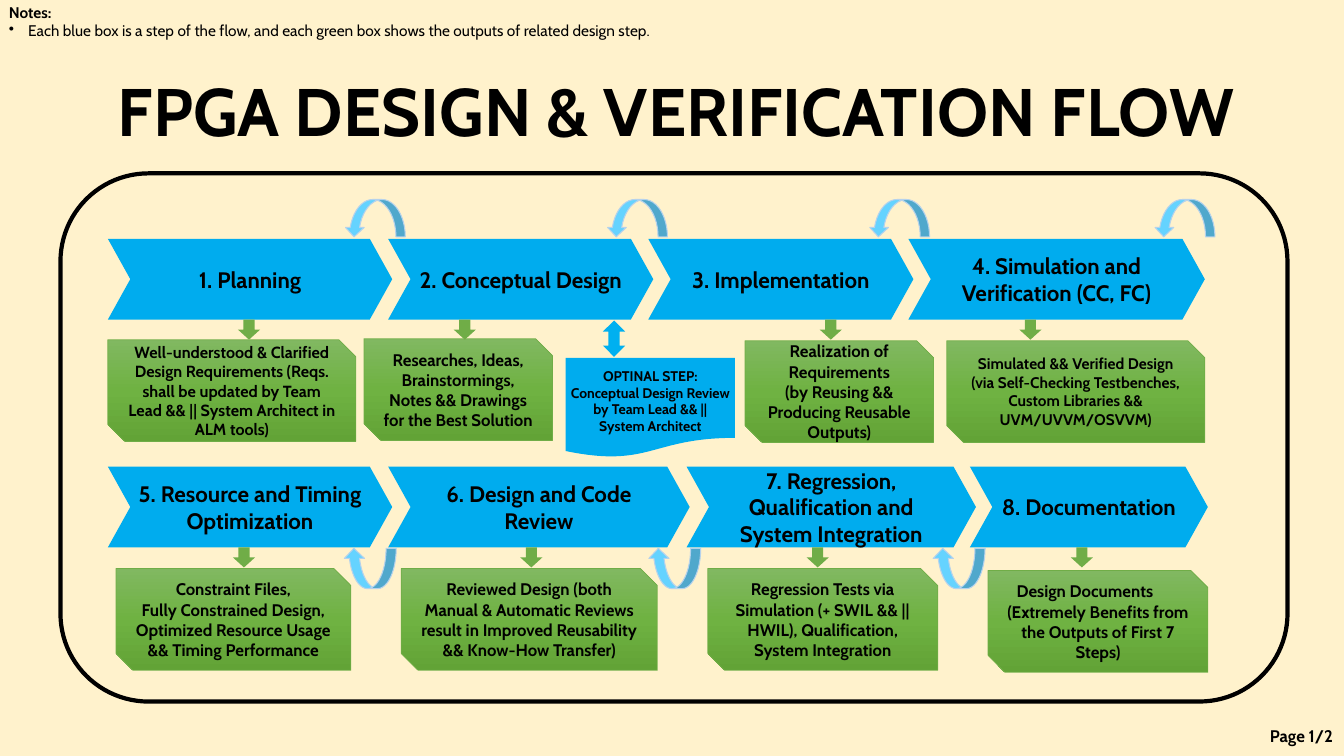
from copy import deepcopy
from dataclasses import dataclass

from pptx import Presentation
from pptx.dml.color import RGBColor
from pptx.enum.shapes import MSO_SHAPE as SHAPE
from pptx.enum.text import MSO_ANCHOR as ANCHOR, PP_ALIGN as ALIGN
from pptx.oxml.ns import qn
from pptx.oxml.xmlchemy import OxmlElement
from pptx.util import Inches, Pt

FONT = "Cabin"
BLACK = RGBColor(0x00, 0x00, 0x00)
CREAM = RGBColor(0xFF, 0xF2, 0xCC)
STEP_BLUE = RGBColor(0x00, 0xAC, 0xEE)
REVIEW_BLUE = RGBColor(0x00, 0xB0, 0xF0)
LOOP_BLUE = RGBColor(0x65, 0xD3, 0xFF)
LOOP_EDGE = RGBColor(0xB5, 0xD2, 0xEC)
GREEN = RGBColor(0x70, 0xAD, 0x47)
OUTPUT_STOPS = [(0, RGBColor(0x81, 0xB8, 0x61)), (0.5, RGBColor(0x6F, 0xB2, 0x42)),
                (1, RGBColor(0x62, 0xA3, 0x36))]

STEP_HEIGHT = 0.8
OUTPUT_HEIGHT = 1.01


@dataclass
class Step:
    """A design step; lefts are measured from the left of its row."""
    label: list
    left: float
    width: float
    arrow_left: float
    output_left: float
    output_width: float
    output_drop: float
    output: list
    size: float = 12


FIRST_ROW = [
    Step(["1. Planning"], 0, 2.82, 1.29, 0, 2.46, 1.0,
         ["Well-understood & Clarified Design Requirements (Reqs. shall be updated "
          "by Team Lead && || System Architect in ALM tools)"], 11.5),
    Step(["2. Conceptual Design"], 2.78, 2.63, 3.43, 2.54, 1.87, 0.99,
         ["Researches, Ideas, Brainstormings, Notes && Drawings for the Best Solution"]),
    Step(["3. Implementation"], 5.36, 2.63, 7.06, 6.32, 1.87, 1.01,
         ["Realization of Requirements", "(by Reusing && Producing Reusable Outputs)"]),
    Step(["4. Simulation and Verification (CC, FC)"], 7.94, 2.94, 9.04, 8.32, 2.56, 1.01,
         ["Simulated && Verified Design",
          "(via Self-Checking Testbenches, Custom Libraries && UVM/UVVM/OSVVM)"], 11),
]
SECOND_ROW = [
    Step(["5. Resource and Timing Optimization"], 0, 2.82, 1.24, 0.08, 2.33, 1.01,
         ["Constraint Files,",
          "Fully Constrained Design, Optimized Resource Usage && Timing Performance"]),
    Step(["6. Design and Code Review"], 2.78, 2.99, 4.09, 2.91, 2.54, 1.01,
         ["Reviewed Design (both Manual & Automatic Reviews result in Improved "
          "Reusability && Know-How Transfer)"]),
    Step(["7. Regression, Qualification and", "System Integration"],
         5.74, 2.87, 6.93, 5.95, 2.28, 1.01,
         ["Regression Tests via Simulation (+ SWIL && || HWIL), Qualification, "
          "System Integration"]),
    Step(["8. Documentation"], 8.55, 2.36, 9.55, 8.73, 2.18, 1.03,
         ["Design Documents", "(Extremely Benefits from the Outputs of First 7 Steps)"]),
]


def write(shape, lines, size, align=ALIGN.CENTER, anchor=ANCHOR.MIDDLE, inset=None, bold=True):
    frame = shape.text_frame
    frame.word_wrap = True
    frame.vertical_anchor = anchor
    if inset is not None:
        frame.margin_left = frame.margin_right = Inches(inset)
        frame.margin_top = frame.margin_bottom = Inches(inset)
    for index, line in enumerate(lines):
        paragraph = frame.paragraphs[0] if index == 0 else frame.add_paragraph()
        paragraph.alignment = align
        run = paragraph.add_run()
        run.text = line
        run.font.name, run.font.size, run.font.bold = FONT, Pt(size), bold
        run.font.color.rgb = BLACK
    return frame


def add_text(slide, left, top, width, height, lines, size, **style):
    box = slide.shapes.add_textbox(Inches(left), Inches(top), Inches(width), Inches(height))
    return write(box, lines, size, **style)


def add_shape(slide, kind, left, top, width, height, fill=None, edge=None, edge_width=0.5):
    shape = slide.shapes.add_shape(kind, Inches(left), Inches(top), Inches(width), Inches(height))
    shape.shadow.inherit = False
    if fill is None:
        shape.fill.background()
    else:
        shape.fill.solid()
        shape.fill.fore_color.rgb = fill
    if edge is None:
        shape.line.fill.background()
    else:
        shape.line.color.rgb = edge
        shape.line.width = Pt(edge_width)
    return shape


def fill_output(shape):
    shape.fill.gradient()
    shape.fill.gradient_angle = 270
    stop_list = shape.fill._fill._gradFill.find(qn("a:gsLst"))
    stop_list.append(deepcopy(stop_list[0]))
    for stop, (position, color) in zip(shape.fill.gradient_stops, OUTPUT_STOPS):
        stop.position = position
        stop.color.rgb = color


def add_step(slide, row_left, top, step):
    # Blue step
    chevron = add_shape(slide, SHAPE.CHEVRON, row_left + step.left, top,
                        step.width, STEP_HEIGHT, STEP_BLUE)
    chevron.adjustments[0] = 0.278
    write(chevron, step.label, 16, inset=0.04)
    # Green output
    output = add_shape(slide, SHAPE.SNIP_2_DIAG_RECTANGLE, row_left + step.output_left,
                       top + step.output_drop, step.output_width, OUTPUT_HEIGHT, GREEN, GREEN)
    fill_output(output)
    # Arrow from step to output
    add_shape(slide, SHAPE.DOWN_ARROW, row_left + step.arrow_left, top + STEP_HEIGHT,
              0.22, 0.2, GREEN)
    return write(output, step.output, step.size)


def add_row(slide, left, top, steps):
    return [add_step(slide, left, top, step) for step in steps]


def add_loops(slide, lefts, top, width, height, above):
    for left in lefts:
        loop = add_shape(slide, SHAPE.CURVED_UP_ARROW, left, top, width, height,
                         LOOP_BLUE, LOOP_EDGE, 0.75)
        transform = loop._element.spPr.find(qn("a:xfrm"))
        transform.set("flipH", "1")
        if above:
            transform.set("flipV", "1")


def add_optional_review(slide, left, top):
    add_shape(slide, SHAPE.UP_DOWN_ARROW, left + 0.37, top, 0.22, 0.36, REVIEW_BLUE)
    review = add_shape(slide, SHAPE.FLOWCHART_DOCUMENT, left, top + 0.37, 1.68, 0.99, STEP_BLUE)
    frame = write(review, ["OPTINAL STEP:",
                           "Conceptual Design Review by Team Lead && || System Architect"],
                  10, inset=0.04)
    frame.margin_top = Inches(0.1)


def add_notes(slide, left, top):
    frame = add_text(slide, left, top, 11.63, 0.66, [
        "Notes:",
        "Each blue box is a step of the flow, and each green box shows the outputs "
        "of related design step."], 11, align=ALIGN.LEFT, anchor=ANCHOR.TOP)
    remark = frame.paragraphs[1]
    remark.runs[0].font.bold = False
    properties = remark._p.get_or_add_pPr()
    properties.set("marL", str(Inches(0.19)))
    properties.set("indent", str(Inches(-0.19)))
    bullet = OxmlElement("a:buChar")
    bullet.set("char", "•")
    properties.append(bullet)


def add_flow(slide, left, top):
    # Frame around the flow
    add_shape(slide, SHAPE.ROUNDED_RECTANGLE, left, top, 12.17, 5.24, edge=BLACK, edge_width=3)
    # Rows of steps
    add_row(slide, left + 0.47, top + 0.65, FIRST_ROW)
    documents = add_row(slide, left + 0.47, top + 2.91, SECOND_ROW)[-1].paragraphs[0]
    documents.alignment = ALIGN.LEFT
    documents._p.get_or_add_pPr().set("marL", str(Inches(0.1)))
    # Loops back to the previous step
    add_loops(slide, [left + x for x in (2.82, 5.42, 8.02, 10.85)], top + 0.26, 0.6, 0.37, True)
    add_loops(slide, [left + x for x in (2.81, 5.83, 8.65)], top + 3.72, 0.52, 0.4, False)
    add_optional_review(slide, left + 5.01, top + 1.46)


def main():
    deck = Presentation()
    deck.slide_width, deck.slide_height = Inches(13.33), Inches(7.5)
    slide = deck.slides.add_slide(deck.slide_layouts[6])
    slide.background.fill.solid()
    slide.background.fill.fore_color.rgb = CREAM
    add_text(slide, 0.04, 0.69, 13.33, 0.47, ["FPGA DESIGN & VERIFICATION FLOW"], 48,
             anchor=ANCHOR.TOP, inset=0)
    add_notes(slide, -0.01, -0.02)
    add_flow(slide, 0.6, 1.72)
    add_text(slide, 12.44, 7.1, 0.88, 0.4, ["Page 1/2"], 12, align=ALIGN.RIGHT)
    deck.save("out.pptx")


if __name__ == "__main__":
    main()
